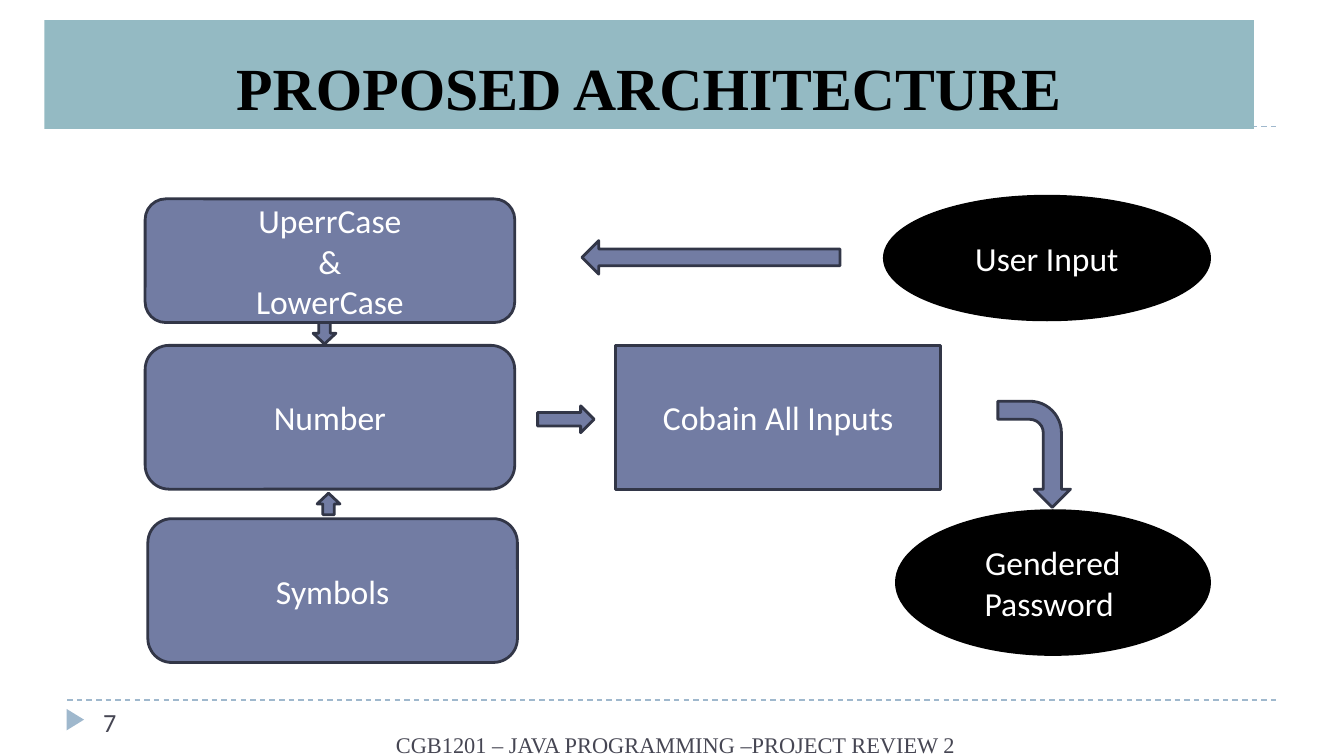
import pptx
import pptx.dml.color
import pptx.enum.dml
import pptx.enum.shapes
import pptx.enum.text
import pptx.oxml
import pptx.oxml.ns
import pptx.util

Inches = pptx.util.Inches
RGBColor = pptx.dml.color.RGBColor
Shape = pptx.enum.shapes.MSO_SHAPE
Align = pptx.enum.text.PP_ALIGN
Anchor = pptx.enum.text.MSO_ANCHOR

WHITE = RGBColor(0xFF, 0xFF, 0xFF)
BLACK = RGBColor(0x00, 0x00, 0x00)
TEAL = RGBColor(0x94, 0xBA, 0xC3)
PALE_BLUE = RGBColor(0x9F, 0xB8, 0xCD)
SLATE = RGBColor(0x72, 0x7C, 0xA3)
NAVY = RGBColor(0x32, 0x36, 0x47)
GREY = RGBColor(0x46, 0x46, 0x53)

TITLE_FONT = {"name": "Times New Roman", "size": pptx.util.Pt(32), "bold": True}
FOOTER_FONT = {"name": "Times New Roman", "size": pptx.util.Pt(12)}
NUMBER_FONT = {"name": "Calibri", "size": pptx.util.Pt(14)}
NODE_FONT = {"name": "Calibri", "size": pptx.util.Pt(18)}


def write_text(shape, lines, font, color, alignment, anchor):
    frame = shape.text_frame
    frame.text = "\n".join(lines)
    settings = {
        "word_wrap": True,
        "auto_size": pptx.enum.text.MSO_AUTO_SIZE.NONE,
        "vertical_anchor": anchor,
        "margin_left": Inches(0.1),
        "margin_right": Inches(0.1),
        "margin_top": Inches(0.05),
        "margin_bottom": Inches(0.05),
    }
    for name, value in settings.items():
        setattr(frame, name, value)
    for paragraph in frame.paragraphs:
        paragraph.alignment = alignment
        for run in paragraph.runs:
            for name, value in font.items():
                setattr(run.font, name, value)
            run.font.color.rgb = color


def add_filled(slide, kind, box, fill, outline=None):
    shape = slide.shapes.add_shape(kind, *map(Inches, box))
    shape.shadow.inherit = False
    shape.fill.solid()
    shape.fill.fore_color.rgb = fill
    if outline is None:
        shape.line.fill.background()
    else:
        shape.line.color.rgb = outline
        shape.line.width = pptx.util.Pt(1.5)
    return shape


def add_dashed_rule(slide, left, top, width):
    rule = slide.shapes.add_connector(
        pptx.enum.shapes.MSO_CONNECTOR.STRAIGHT,
        Inches(left), Inches(top), Inches(left + width), Inches(top))
    rule.line.color.rgb = PALE_BLUE
    rule.line.width = pptx.util.Pt(0.75)
    rule.line.dash_style = pptx.enum.dml.MSO_LINE.DASH
    properties = rule.element.find(pptx.oxml.ns.qn("p:spPr"))
    properties.append(pptx.oxml.parse_xml(
        f'<a:effectLst {pptx.oxml.ns.nsdecls("a")}/>'))


def build_header(slide, left, top, width, height):
    add_dashed_rule(slide, left + 0.17, top + 0.79, width)
    title = slide.shapes.title
    title.element.getparent().append(title.element)
    box = {"left": left, "top": top, "width": width, "height": height}
    for name, value in box.items():
        setattr(title, name, Inches(value))
    title.fill.solid()
    title.fill.fore_color.rgb = TEAL
    write_text(title, ["PROPOSED ARCHITECTURE"], TITLE_FONT, BLACK,
               Align.CENTER, Anchor.BOTTOM)


def build_footer(slide, left, top, width):
    add_dashed_rule(slide, left, top, width)
    marker = add_filled(slide, Shape.ISOSCELES_TRIANGLE,
                        (left - 0.02, top + 0.08, 0.16, 0.13), PALE_BLUE)
    marker.rotation = 90
    labels = [
        ("CGB1201 – JAVA PROGRAMMING –PROJECT REVIEW 2 ", FOOTER_FONT,
         Align.RIGHT, (2.34, 0.18, 4.41, 0.25)),
        ("7", NUMBER_FONT, Align.LEFT, (0.17, 0, 2.17, 0.3)),
    ]
    for text, font, alignment, (x, y, label_width, label_height) in labels:
        label = slide.shapes.add_textbox(
            Inches(left + x), Inches(top + y),
            Inches(label_width), Inches(label_height))
        write_text(label, [text], font, GREY, alignment, Anchor.TOP)


def build_diagram(slide, left, top):
    nodes = [
        (Shape.ROUNDED_RECTANGLE, ["UperrCase", "&", "LowerCase"], (0, 0.02, 2.75, 0.92)),
        (Shape.ROUNDED_RECTANGLE, ["Number"], (0, 1.11, 2.75, 1.07)),
        (Shape.ROUNDED_RECTANGLE, ["Symbols"], (0.02, 2.4, 2.75, 1.07)),
        (Shape.OVAL, ["User Input"], (5.5, 0, 2.42, 0.92)),
        (Shape.RECTANGLE, ["Cobain All Inputs"], (3.5, 1.11, 2.42, 1.07)),
        (Shape.OVAL, ["Gendered", "Password "], (5.59, 2.34, 2.33, 1.07)),
    ]
    for kind, lines, (x, y, width, height) in nodes:
        fill, outline = (BLACK, BLACK) if kind == Shape.OVAL else (SLATE, NAVY)
        node = add_filled(slide, kind, (left + x, top + y, width, height), fill, outline)
        write_text(node, lines, NODE_FONT, WHITE, Align.CENTER, Anchor.MIDDLE)

    arrows = [
        (Shape.LEFT_ARROW, 0, (3.25, 0.33, 1.92, 0.25)),
        (Shape.RIGHT_ARROW, 0, (2.92, 1.56, 0.42, 0.2)),
        (Shape.DOWN_ARROW, 0, (1.25, 0.94, 0.17, 0.16)),
        (Shape.UP_ARROW, 0, (1.28, 2.21, 0.17, 0.16)),
        (Shape.BENT_ARROW, 90, (6.22, 1.65, 0.79, 0.54)),
    ]
    for kind, rotation, (x, y, width, height) in arrows:
        arrow = add_filled(slide, kind, (left + x, top + y, width, height), SLATE, NAVY)
        arrow.rotation = rotation


def main():
    presentation = pptx.Presentation()
    presentation.slide_width = Inches(10)
    presentation.slide_height = Inches(10) * 9 // 16
    slide = presentation.slides.add_slide(presentation.slide_layouts[5])
    build_header(slide, 0.33, 0.15, 9, 0.81)
    build_footer(slide, 0.5, 5.21, 9)
    build_diagram(slide, 1.08, 1.46)
    presentation.save("out.pptx")


if __name__ == "__main__":
    main()
